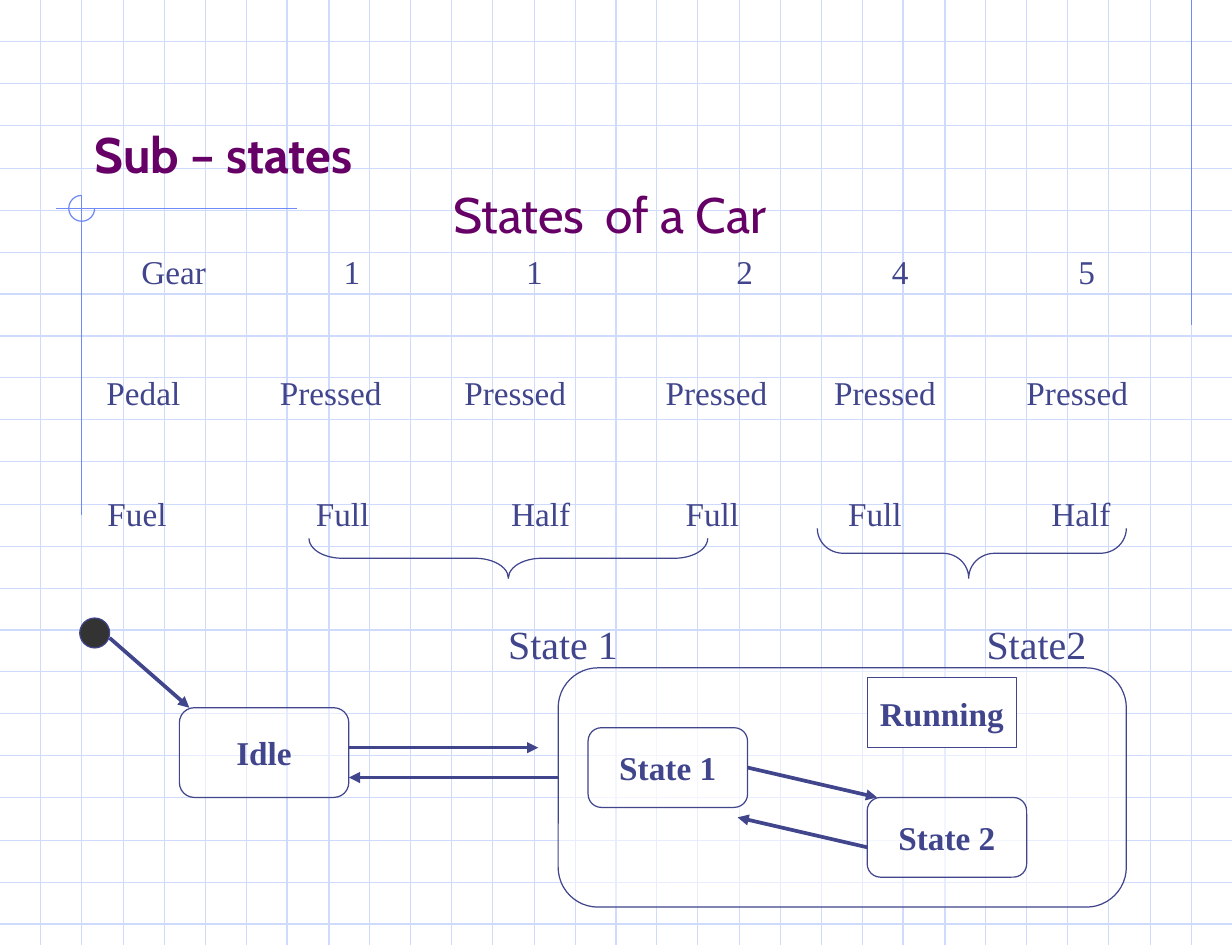
import pptx
import pptx.util
import pptx.oxml
import pptx.oxml.ns
from pptx.dml.color import RGBColor
from pptx.enum.shapes import MSO_CONNECTOR, MSO_SHAPE
from pptx.enum.text import MSO_ANCHOR, PP_ALIGN

EMU_PER_PX = 7620  # 120 px to the inch
WIDTH, HEIGHT = 1236, 948

WHITE = RGBColor(0xFF, 0xFF, 0xFF)
GRID_BLUE = RGBColor(0xCF, 0xDB, 0xFD)
FRAME_BLUE = RGBColor(0x6F, 0x89, 0xF7)
INK = RGBColor(0x40, 0x45, 0x8C)
PURPLE = RGBColor(0x66, 0x00, 0x66)
CHARCOAL = RGBColor(0x33, 0x33, 0x33)

TITLE = {"name": "Cabin", "size": pptx.util.Pt(30), "bold": True}
SUBTITLE = {**TITLE, "bold": False}
BODY = {"name": "Times New Roman", "size": pptx.util.Pt(20)}
STATE_ROW = {**BODY, "size": pptx.util.Pt(24)}
STATE_LABEL = {**BODY, "bold": True}


def px(length):
    return pptx.util.Emu(length * EMU_PER_PX)


def add_xml(parent, tag, **attributes):
    element = pptx.oxml.parse_xml(f"<a:{tag} {pptx.oxml.ns.nsdecls('a')}/>")
    for name, value in attributes.items():
        element.set(name, str(value))
    parent.append(element)
    return element


class SlideBuilder:
    def __init__(self, deck):
        self.slide = deck.slides.add_slide(deck.slide_layouts[6])
        self.shapes = self.slide.shapes

    def line(self, start, end, color, width=0.75, arrow=False):
        connector = self.shapes.add_connector(
            MSO_CONNECTOR.STRAIGHT, *map(px, start + end))
        connector.line.color.rgb = color
        connector.line.width = pptx.util.Pt(width)
        if arrow:
            add_xml(connector.line._get_or_add_ln(), "tailEnd", type="triangle")
        add_xml(connector._element.spPr, "effectLst")
        return connector

    def shape(self, kind, bounds, fill=None, color=INK, alpha=None,
              adjustments=(), rotation=0):
        shape = self.shapes.add_shape(kind, *map(px, bounds))
        shape.shadow.inherit = False
        shape.rotation = rotation
        for index, value in enumerate(adjustments):
            shape.adjustments[index] = value
        if fill is None:
            shape.fill.background()
        else:
            shape.fill.solid()
            shape.fill.fore_color.rgb = fill
            if alpha:
                color_node = shape._element.spPr.find(".//" + pptx.oxml.ns.qn("a:srgbClr"))
                add_xml(color_node, "alpha", val=alpha * 1000)
        shape.line.color.rgb = color
        shape.line.width = pptx.util.Pt(0.75)
        return shape

    def span(self, para, text, style, color):
        span = para.add_run()
        span.text = text
        for name, value in style.items():
            setattr(span.font, name, value)
        span.font.color.rgb = color

    def state(self, kind, bounds, label, alpha=50):
        box = self.shape(kind, bounds, WHITE, alpha=alpha)
        frame = box.text_frame
        frame.word_wrap = False
        frame.vertical_anchor = MSO_ANCHOR.MIDDLE
        para = frame.paragraphs[0]
        para.alignment = PP_ALIGN.CENTER
        self.span(para, label, STATE_LABEL, INK)
        return box

    def tabbed_text(self, bounds, rows, color, anchor=MSO_ANCHOR.TOP):
        """Each row is (space before, style, {x on the slide: word})."""
        frame = self.shapes.add_textbox(*map(px, bounds)).text_frame
        frame.word_wrap = True
        frame.vertical_anchor = anchor
        text_left = bounds[0] + 12
        for index, (space, style, words) in enumerate(rows):
            para = frame.add_paragraph() if index else frame.paragraphs[0]
            para.space_before = pptx.util.Pt(space)
            stops = [x for x in words if x > text_left]
            if stops:
                tabs = add_xml(para._p.get_or_add_pPr(), "tabLst")
                for x in stops:
                    add_xml(tabs, "tab", pos=px(x - text_left), algn="l")
            text = "".join(("\t" if x in stops else "") + word
                           for x, word in words.items())
            self.span(para, text, style, color)


def main():
    deck = pptx.Presentation()
    deck.slide_width, deck.slide_height = px(WIDTH), px(HEIGHT)
    page = SlideBuilder(deck)

    # Graph-paper background
    for row in range(1, 23):
        y = round(row * 42.13)
        page.line((0, y), (WIDTH, y), GRID_BLUE)
    for column in range(1, 30):
        x = round(column * 41.2)
        page.line((x, 0), (x, HEIGHT), GRID_BLUE)

    # Margin lines and corner arc
    page.line((1195, 0), (1195, 326), FRAME_BLUE)
    page.line((298, 209), (56, 209), FRAME_BLUE)
    page.line((82, 196), (82, 517), FRAME_BLUE)
    page.shape(MSO_SHAPE.ARC, (69, 196, 26, 26), color=FRAME_BLUE,
               adjustments=(0, 162))

    # Frame of the running state
    rounded = MSO_SHAPE.FLOWCHART_ALTERNATE_PROCESS
    page.shape(rounded, (560, 670, 570, 240), WHITE, alpha=50)

    # Title and the gear, pedal and fuel rows
    page.tabbed_text((83, 120, 948, 130), [
        (0, TITLE, {95: "Sub – states"}),
        (0, SUBTITLE, {455: "States", 608: "of a Car"}),
    ], PURPLE, MSO_ANCHOR.BOTTOM)
    pressed = dict.fromkeys((281, 466, 668, 837, 1030), "Pressed")
    page.tabbed_text((60, 246, 1120, 420), [
        (0, BODY, {142: "Gear", 345: "1", 528: "1", 739: "2", 895: "4", 1082: "5"}),
        (49, BODY, {107: "Pedal", **pressed}),
        (49, BODY, {108: "Fuel", 317: "Full", 513: "Half", 688: "Full",
                    851: "Full", 1055: "Half"}),
        (52, STATE_ROW, {510: "State 1", 990: "State2"}),
    ], INK)

    # Braces grouping the columns into states
    page.shape(MSO_SHAPE.LEFT_BRACE, (490, 360, 40, 400),
               adjustments=(0.83, 0.5), rotation=270)
    page.shape(MSO_SHAPE.LEFT_BRACE, (950, 400, 50, 310),
               adjustments=(0.52, 0.49), rotation=270)

    # States
    page.state(rounded, (180, 710, 170, 90), "Idle")
    first_state = page.state(rounded, (590, 730, 160, 80), "State 1")
    page.state(rounded, (870, 800, 160, 80), "State 2")
    page.state(MSO_SHAPE.RECTANGLE, (870, 680, 150, 70), "Running", alpha=None)

    # Transitions
    to_second = page.line((750, 770), (880, 800), INK, 2.25, arrow=True)
    to_second.begin_connect(first_state, 3)
    for start, end in (
        ((870, 850), (740, 820)),
        ((350, 750), (540, 750)),
        ((560, 780), (350, 780)),
        ((110, 640), (190, 710)),
    ):
        page.line(start, end, INK, 2.25, arrow=True)

    # Start point
    page.shape(MSO_SHAPE.OVAL, (80, 620, 30, 30), CHARCOAL)

    deck.save("out.pptx")


if __name__ == "__main__":
    main()
